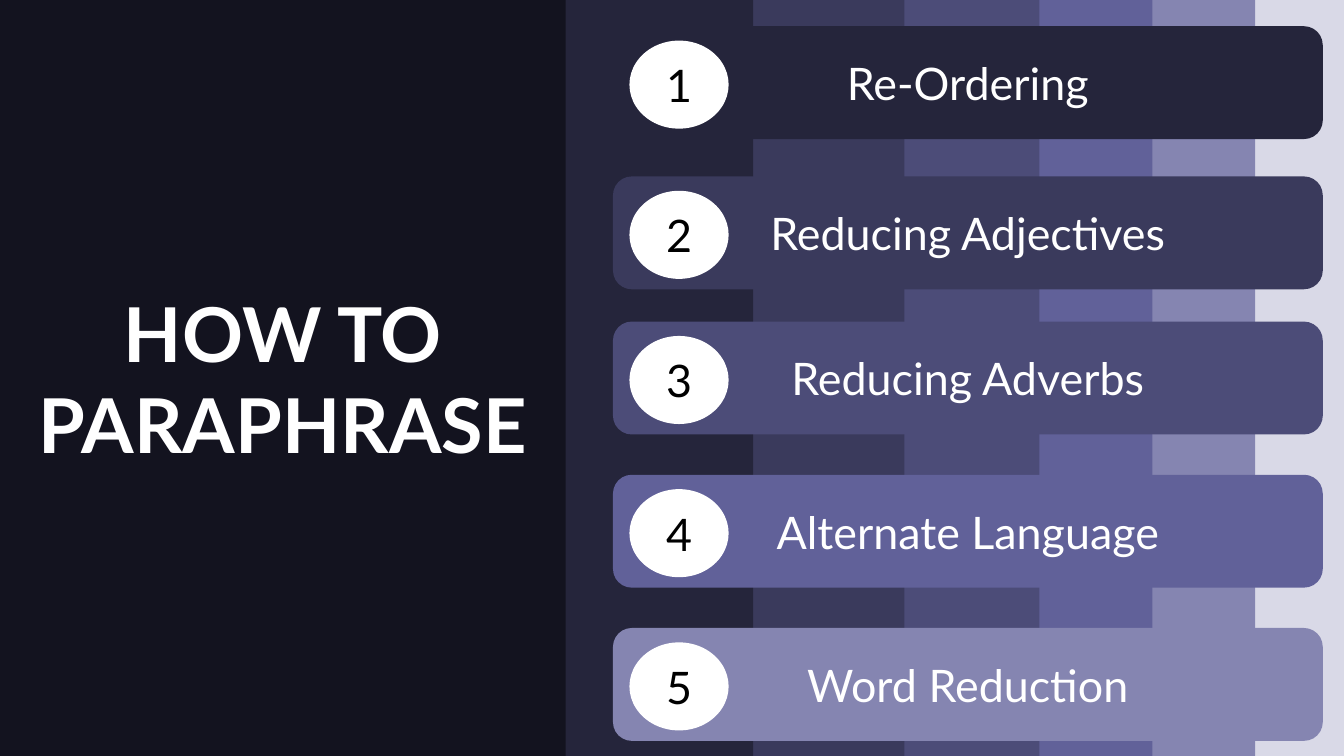
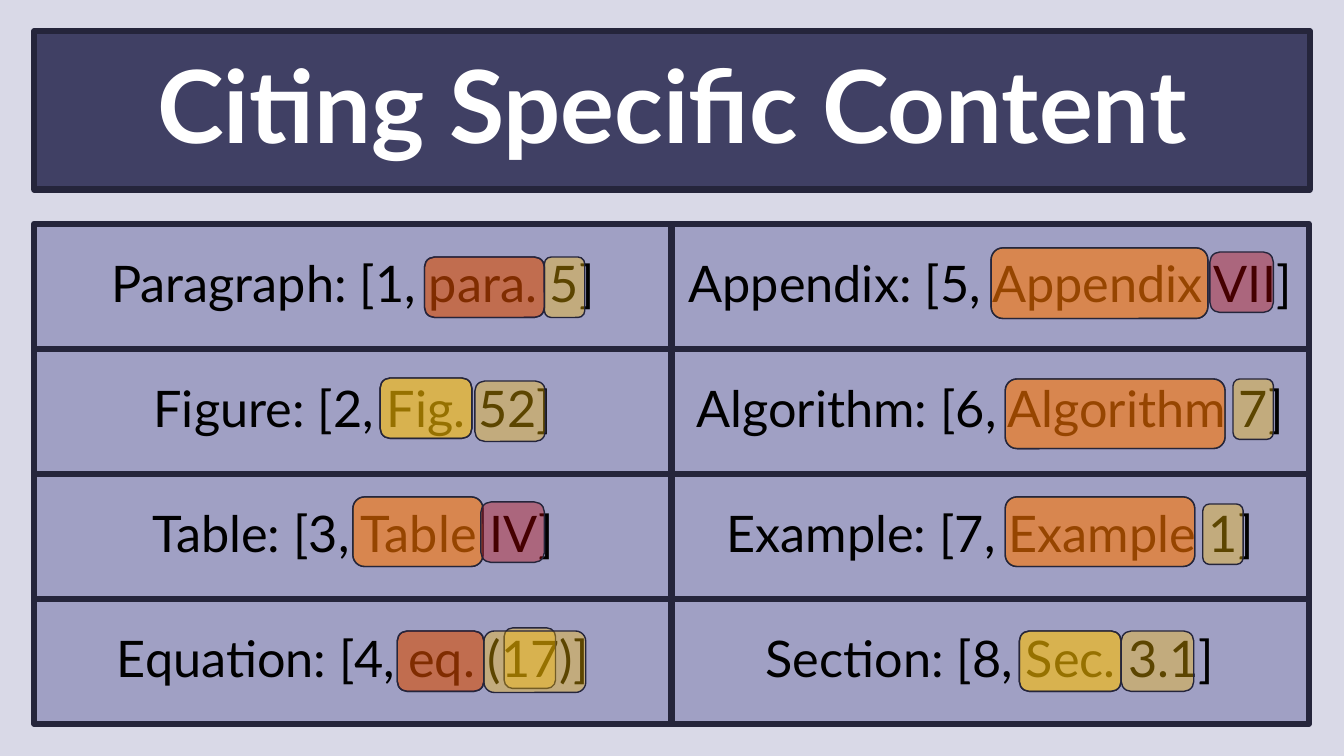
import pptx
import pptx.dml.color
import pptx.enum.shapes
import pptx.enum.text
import pptx.oxml.ns
import pptx.util
from lxml import etree

Inches = pptx.util.Inches
Pt = pptx.util.Pt
Shape = pptx.enum.shapes.MSO_SHAPE
hex_color = pptx.dml.color.RGBColor.from_string

# Shared look
FONT = "Lato"
WHITE, BLACK = "FFFFFF", "000000"
PALE, NIGHT, INK = "D9D9E7", "13131F", "25253B"
TITLE_FILL, CELL_FILL = "404064", "A0A0C4"
AMBER, RED, DARK_RED = "FFC000", "FF0000", "C00000"
SHADES = [INK, "3A3A5C", "4C4C78", "616199", "8585B1"]


def paint(shape, box, fill, line=None, width=1, opacity=None):
    """Place a shape and set its fill and outline."""
    shape.left, shape.top, shape.width, shape.height = map(Inches, box)
    shape.fill.solid()
    shape.fill.fore_color.rgb = hex_color(fill)
    if opacity is not None:
        solid = shape.fill._xPr.find(pptx.oxml.ns.qn("a:solidFill"))
        alpha = etree.SubElement(solid[0], pptx.oxml.ns.qn("a:alpha"))
        alpha.set("val", str(opacity * 1000))
    if line:
        shape.line.color.rgb = hex_color(line)
        shape.line.width = Pt(width)
    else:
        shape.line.fill.background()
    if not shape.is_placeholder:
        shape.shadow.inherit = False
    return shape


def write(shape, text, size=32, color=WHITE, bold=False, spacing=1.0):
    """Write one centred paragraph in a shape."""
    frame = shape.text_frame
    frame.text = text
    frame.word_wrap = True
    frame.auto_size = pptx.enum.text.MSO_AUTO_SIZE.NONE
    frame.vertical_anchor = pptx.enum.text.MSO_ANCHOR.MIDDLE
    paragraph = frame.paragraphs[0]
    paragraph.alignment = pptx.enum.text.PP_ALIGN.CENTER
    paragraph.line_spacing = spacing
    font = paragraph.runs[0].font
    font.name, font.size, font.bold = FONT, Pt(size), bold
    font.color.rgb = hex_color(color)


prs = pptx.Presentation()
prs.slide_width, prs.slide_height = Inches(13.33), Inches(7.5)
background = prs.slide_master.background.fill
background.solid()
background.fore_color.rgb = hex_color(PALE)
title_only = prs.slide_layouts[5]

# Slide 1: layered bands, widest at the back
methods = prs.slides.add_slide(title_only)
shapes = methods.shapes
band_spans = [(0, 7.47), (0, 8.97), (0.05, 10.26), (0.19, 11.24), (0.55, 11.9)]
for (left, width), shade in reversed(list(zip(band_spans, SHADES))):
    band = shapes.add_shape(Shape.RECTANGLE, 0, 0, 0, 0)
    paint(band, (left, -0.11, width, 7.81), shade)

# Title panel, brought in front of the bands
panel = paint(shapes.title, (0, -0.16, 5.61, 7.81), NIGHT)
write(panel, "HOW TO PARAPHRASE", size=54, bold=True)
shapes._spTree.append(panel._element)

# Numbered methods
steps = [
    (0.26, "Re-Ordering"),
    (1.75, "Reducing Adjectives"),
    (3.19, "Reducing Adverbs"),
    (4.71, "Alternate Language"),
    (6.23, "Word Reduction"),
]
for number, ((top, method), shade) in enumerate(zip(steps, SHADES), 1):
    bar = shapes.add_shape(Shape.ROUNDED_RECTANGLE, 0, 0, 0, 0)
    write(paint(bar, (6.08, top, 7.04, 1.12), shade), method)
    badge = shapes.add_shape(Shape.OVAL, 0, 0, 0, 0)
    paint(badge, (6.25, top + 0.15, 0.97, 0.86), WHITE, line=WHITE)
    write(badge, str(number), color=BLACK)

# Slide 2: title
citing = prs.slides.add_slide(title_only)
shapes = citing.shapes
heading = paint(shapes.title, (0.34, 0.31, 12.65, 1.57), TITLE_FILL, INK, 4.5)
write(heading, "Citing Specific Content", size=72, bold=True, spacing=0.9)

# Grid of citation examples, filled column by column
citations = [
    "Paragraph: [1, para. 5]",
    "Figure: [2, Fig. 52]",
    "Table: [3, Table IV]",
    "Equation: [4, eq. (17)]",
    "Appendix: [5, Appendix VII]",
    "Algorithm: [6, Algorithm 7]",
    "Example: [7, Example 1]",
    "Section: [8, Sec. 3.1]",
]
cell_width, cell_height = 6.32, 1.24
for index, citation in enumerate(citations):
    column, row = divmod(index, 4)
    cell = shapes.add_shape(Shape.RECTANGLE, 0, 0, 0, 0)
    cell_box = (0.34 + column * cell_width, 2.22 + row * cell_height,
                cell_width, cell_height)
    paint(cell, cell_box, CELL_FILL, INK, 4.5)
    write(cell, citation, size=36, color=BLACK, spacing=0.9)

# Translucent highlights: tints from back to front, then the marked words
highlights = [
    # Abbreviations with a capital: Fig., Sec.
    ([AMBER, AMBER], [(3.77, 3.75, 0.91, 0.6), (10.11, 6.26, 1.01, 0.6)]),
    # Full words: Table, Appendix, Algorithm, Example
    ([RED, AMBER], [(3.5, 4.93, 1.29, 0.69), (9.83, 2.46, 2.15, 0.7),
                    (9.97, 3.76, 2.18, 0.69), (9.97, 4.93, 1.88, 0.69)]),
    # Lower-case abbreviations: para., eq.
    ([AMBER, DARK_RED], [(4.21, 2.55, 1.19, 0.6), (3.94, 6.26, 0.86, 0.6)]),
    # Roman numerals
    ([DARK_RED], [(4.77, 4.98, 0.63, 0.6), (12, 2.5, 0.63, 0.6)]),
    # Arabic numerals
    ([AMBER], [(5.4, 2.55, 0.4, 0.6), (4.71, 3.78, 0.7, 0.6),
               (5, 6.23, 0.51, 0.6), (12.23, 3.76, 0.4, 0.6),
               (11.93, 5, 0.4, 0.6), (11.12, 6.26, 0.72, 0.6),
               (4.8, 6.26, 1.01, 0.61)]),
]
for tints, word_boxes in highlights:
    for word_box in word_boxes:
        for tint in tints:
            marker = shapes.add_shape(Shape.ROUNDED_RECTANGLE, 0, 0, 0, 0)
            paint(marker, word_box, tint, INK, opacity=36)

prs.save("out.pptx")
